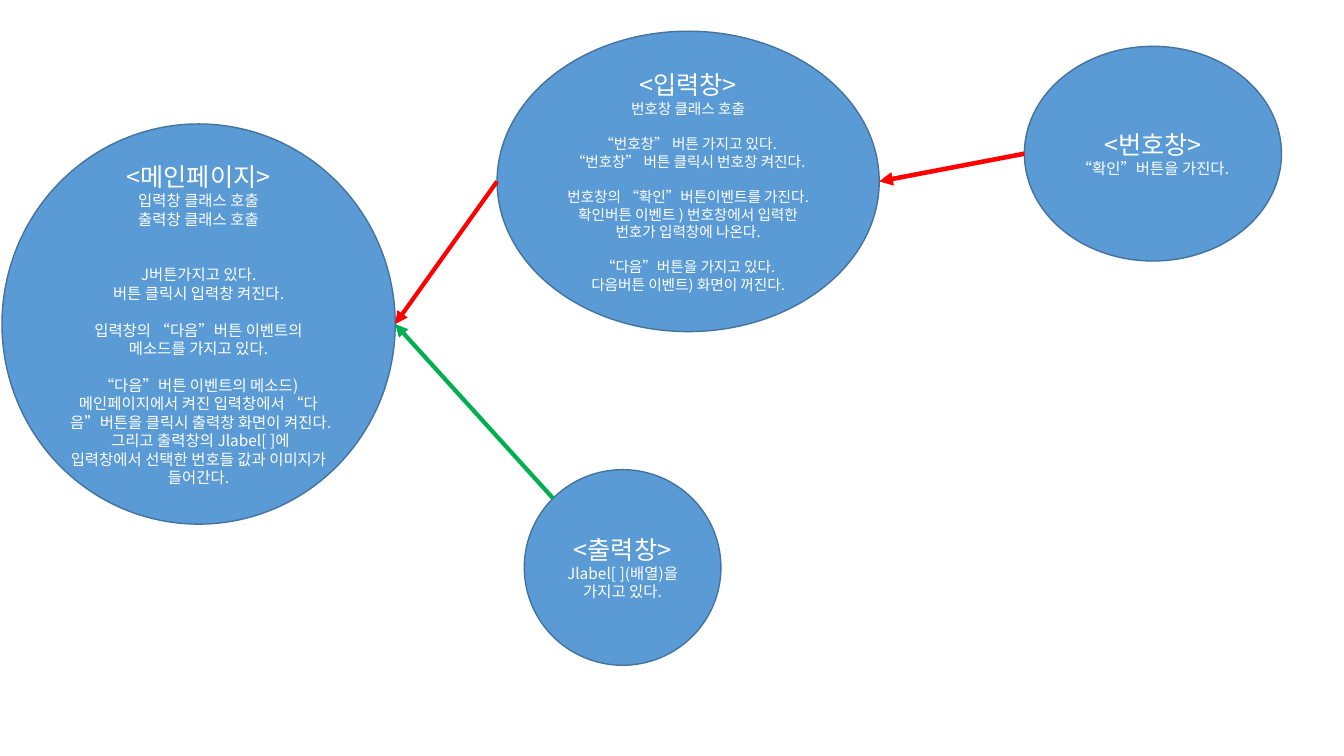
from math import cos, radians, sin

from lxml.etree import SubElement
from pptx import Presentation
from pptx.dml.color import RGBColor
from pptx.enum.shapes import MSO_CONNECTOR, MSO_SHAPE
from pptx.enum.text import MSO_ANCHOR, PP_ALIGN
from pptx.oxml.ns import qn
from pptx.util import Inches, Pt

BLUE = RGBColor(0x5B, 0x9B, 0xD5)
OUTLINE = RGBColor(0x43, 0x73, 0x9E)
WHITE = RGBColor(0xFF, 0xFF, 0xFF)
RED = RGBColor(0xFF, 0x00, 0x00)
GREEN = RGBColor(0x00, 0xB0, 0x50)
FONT = "Noto Sans CJK KR"
LINE_HEIGHT = 1.2
LEFT, RIGHT, UPPER_LEFT = 180, 0, 225


def write(paragraph, text, size, color=WHITE, gap_lines=0):
    paragraph.alignment = PP_ALIGN.CENTER
    paragraph.space_before = Pt(round(gap_lines * LINE_HEIGHT * size, 1))
    run = paragraph.add_run()
    run.text = text
    run.font.size = Pt(size)
    run.font.name = FONT
    run.font.color.rgb = color
    SubElement(run.font._element, qn("a:ea"), typeface=FONT)


def rim(oval, degrees):
    angle = radians(degrees)
    x = oval.left + oval.width / 2 * (1 + cos(angle))
    y = oval.top + oval.height / 2 * (1 + sin(angle))
    return round(x), round(y)


class WindowMap:
    """Draws windows as ovals and the calls between them as arrows."""

    def __init__(self, slide):
        self.slide = slide

    def window(self, left, top, width, height, title, groups, size=11):
        oval = self.slide.shapes.add_shape(
            MSO_SHAPE.OVAL, Inches(left), Inches(top), Inches(width), Inches(height)
        )
        oval.shadow.inherit = False
        oval.fill.solid()
        oval.fill.fore_color.rgb = BLUE
        oval.line.color.rgb = OUTLINE
        oval.line.width = Pt(1)
        frame = oval.text_frame
        frame.word_wrap = True
        frame.vertical_anchor = MSO_ANCHOR.MIDDLE
        write(frame.paragraphs[0], title, 18)
        for gap_lines, sentences in groups:
            for index, sentence in enumerate(sentences):
                gap = 0 if index else gap_lines
                write(frame.add_paragraph(), sentence, size, gap_lines=gap)
        return oval

    def arrow(self, start, end, color, width=3):
        link = self.slide.shapes.add_connector(MSO_CONNECTOR.STRAIGHT, *start, *end)
        link.line.color.rgb = color
        link.line.width = Pt(width)
        SubElement(link.line._get_or_add_ln(), qn("a:tailEnd"), type="triangle")
        SubElement(link._element.spPr, qn("a:effectLst"))


deck = Presentation()
deck.slide_width, deck.slide_height = Inches(13.33), Inches(7.5)
windows = WindowMap(deck.slides.add_slide(deck.slide_layouts[6]))

main_page = windows.window(0.02, 1.23, 3.9, 3.97, "<메인페이지>", [
    (0, ["입력창 클래스 호출", "출력창 클래스 호출"]),
    (2, ["J버튼가지고 있다.", "버튼 클릭시 입력창 켜진다."]),
    (1, ["입력창의 “다음”버튼 이벤트의 메소드를 가지고 있다."]),
    (1, [
        "“다음”버튼 이벤트의 메소드)",
        "메인페이지에서 켜진 입력창에서 “다음”버튼을 클릭시 출력창 화면이 켜진다. "
        "그리고 출력창의 Jlabel[ ]에",
        "입력창에서 선택한 번호들 값과 이미지가 들어간다.",
    ]),
])
input_window = windows.window(4.93, 0.31, 3.79, 2.98, "<입력창>", [
    (0, ["번호창 클래스 호출"]),
    (1, ["“번호창” 버튼 가지고 있다.", "“번호창” 버튼 클릭시 번호창 켜진다."]),
    (1, [
        "번호창의 “확인”버튼이벤트를 가진다.",
        "확인버튼 이벤트 ) 번호창에서 입력한 번호가 입력창에 나온다.",
    ]),
    (1, ["“다음”버튼을 가지고 있다.", "다음버튼 이벤트) 화면이 꺼진다."]),
], size=10.5)
output_window = windows.window(
    5.2, 4.66, 1.95, 1.94, "<출력창>", [(0, ["Jlabel[ ](배열)을 가지고 있다."])]
)
number_window = windows.window(
    10.16, 0.46, 2.55, 2.13, "<번호창>", [(0, ["“확인”버튼을 가진다."])]
)

windows.arrow(rim(output_window, UPPER_LEFT), rim(main_page, RIGHT), GREEN)
windows.arrow(rim(input_window, LEFT), rim(main_page, RIGHT), RED)
windows.arrow(rim(number_window, LEFT), rim(input_window, RIGHT), RED, width=3.25)

deck.save("out.pptx")
